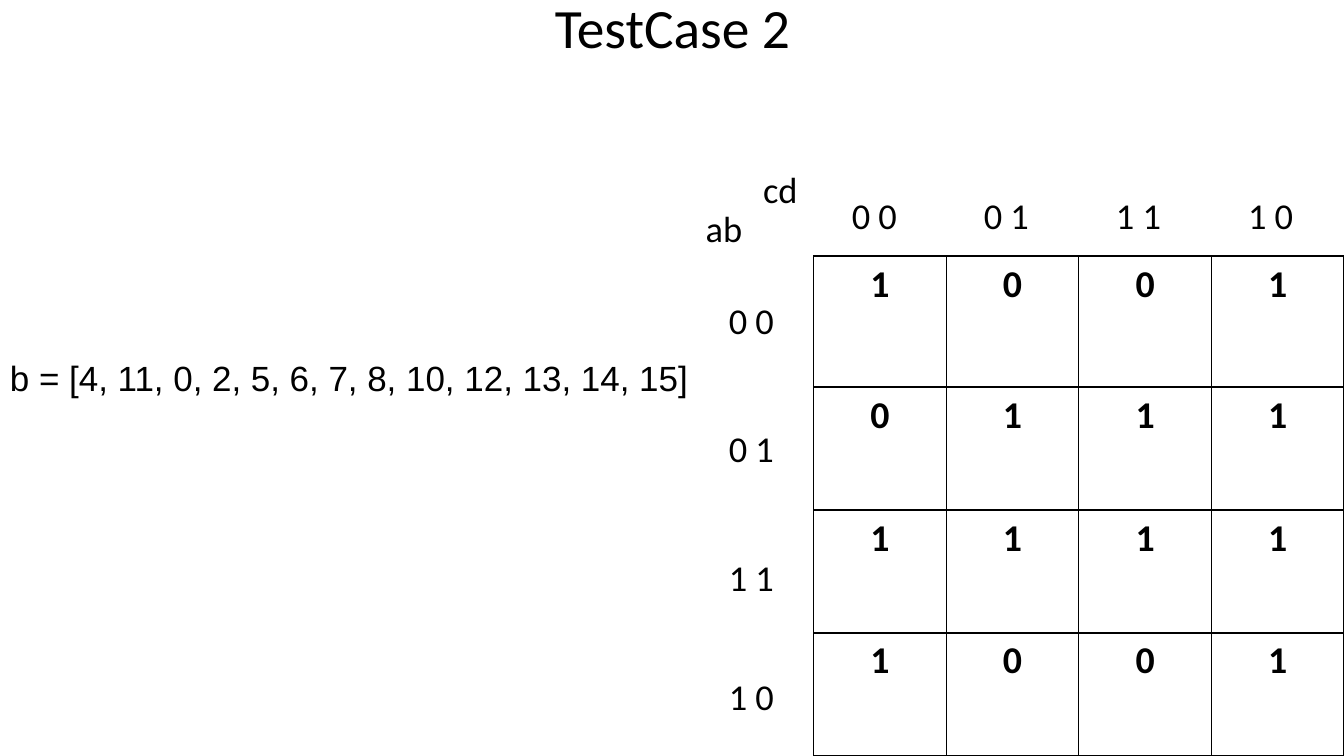
from dataclasses import dataclass

from lxml import etree
from pptx import Presentation
from pptx.dml.color import RGBColor
from pptx.enum.text import MSO_ANCHOR, MSO_AUTO_SIZE, PP_ALIGN
from pptx.oxml.ns import qn
from pptx.util import Pt

EMU_PER_PX = 9144
CENTER = PP_ALIGN.CENTER
MIDDLE = MSO_ANCHOR.MIDDLE
NO_AUTOFIT = MSO_AUTO_SIZE.NONE
GROW = MSO_AUTO_SIZE.SHAPE_TO_FIT_TEXT

BLACK = "000000"
WHITE = "FFFFFF"
GRAY_CODE = ("0 0", "0 1", "1 1", "1 0")
MAP_ROWS = ("1001", "0111", "1111", "1001")
ROW_HEIGHTS = (130, 122, 122, 122)
ROW_LABEL_TOPS = (291, 418, 546, 664)
COLUMN_LABEL_LEFT = 835
COLUMN_LABEL_STEP = 131


@dataclass(frozen=True)
class Label:
    text: str
    left: int
    top: int
    width: int = 74
    height: int = 53
    size: float = 26
    font: str = "Calibri"
    wrap: bool = True


def px(length: int) -> int:
    return length * EMU_PER_PX


def color(hex_value: str) -> RGBColor:
    return RGBColor.from_string(hex_value)


def format_text(text_frame, size: float, font: str = "Calibri", bold: bool = False) -> None:
    for paragraph in text_frame.paragraphs:
        for run in paragraph.runs:
            run.font.size = Pt(size)
            run.font.name = font
            run.font.bold = bold
            run.font.color.rgb = color(BLACK)


def add_title(slide, text: str) -> None:
    title = slide.shapes.title
    title.left, title.top, title.width, title.height = px(67), px(2), px(1200), px(48)
    text_frame = title.text_frame
    text_frame.text = text
    text_frame.auto_size = NO_AUTOFIT
    text_frame.vertical_anchor = MIDDLE
    text_frame.paragraphs[0].alignment = CENTER
    format_text(text_frame, 39.6)


def add_label(slide, label: Label) -> None:
    shape = slide.shapes.add_textbox(
        px(label.left), px(label.top), px(label.width), px(label.height)
    )
    text_frame = shape.text_frame
    text_frame.text = label.text
    text_frame.word_wrap = label.wrap
    text_frame.auto_size = GROW
    format_text(text_frame, label.size, label.font)


def set_borders(cell) -> None:
    properties = cell._tc.get_or_add_tcPr()
    for position, side in enumerate(("a:lnL", "a:lnR", "a:lnT", "a:lnB")):
        line = etree.Element(qn(side), w=str(Pt(1)))
        fill = etree.SubElement(line, qn("a:solidFill"))
        etree.SubElement(fill, qn("a:srgbClr"), val=BLACK)
        properties.insert(position, line)


def add_karnaugh_map(slide) -> None:
    frame = slide.shapes.add_table(
        len(MAP_ROWS), len(GRAY_CODE), px(807), px(254), px(526), px(sum(ROW_HEIGHTS))
    )
    table = frame.table
    table.first_row = False
    table.horz_banding = False
    for row, height, values in zip(table.rows, ROW_HEIGHTS, MAP_ROWS):
        row.height = px(height)
        for cell, value in zip(row.cells, values):
            cell.fill.solid()
            cell.fill.fore_color.rgb = color(WHITE)
            set_borders(cell)
            cell.text_frame.text = value
            cell.text_frame.paragraphs[0].alignment = CENTER
            format_text(cell.text_frame, 27, bold=True)


def main() -> None:
    presentation = Presentation()
    presentation.slide_width = px(1333)
    presentation.slide_height = px(750)
    slide = presentation.slides.add_slide(presentation.slide_layouts.get_by_name("Title Only"))

    add_title(slide, "TestCase 2")
    add_karnaugh_map(slide)

    column_labels = [
        Label(code, COLUMN_LABEL_LEFT + COLUMN_LABEL_STEP * index, 187)
        for index, code in enumerate(GRAY_CODE)
    ]
    row_labels = [Label(code, 713, top) for code, top in zip(GRAY_CODE, ROW_LABEL_TOPS)]
    other_labels = [
        Label("ab", 690, 200, width=61, wrap=False),
        Label("cd", 747, 161, width=58, wrap=False),
        Label("b = [4, 11, 0, 2, 5, 6, 7, 8, 10, 12, 13, 14, 15]",
              0, 349, width=921, height=51, size=25, font="Arial"),
    ]
    for label in column_labels + row_labels + other_labels:
        add_label(slide, label)

    presentation.save("out.pptx")


if __name__ == "__main__":
    main()
